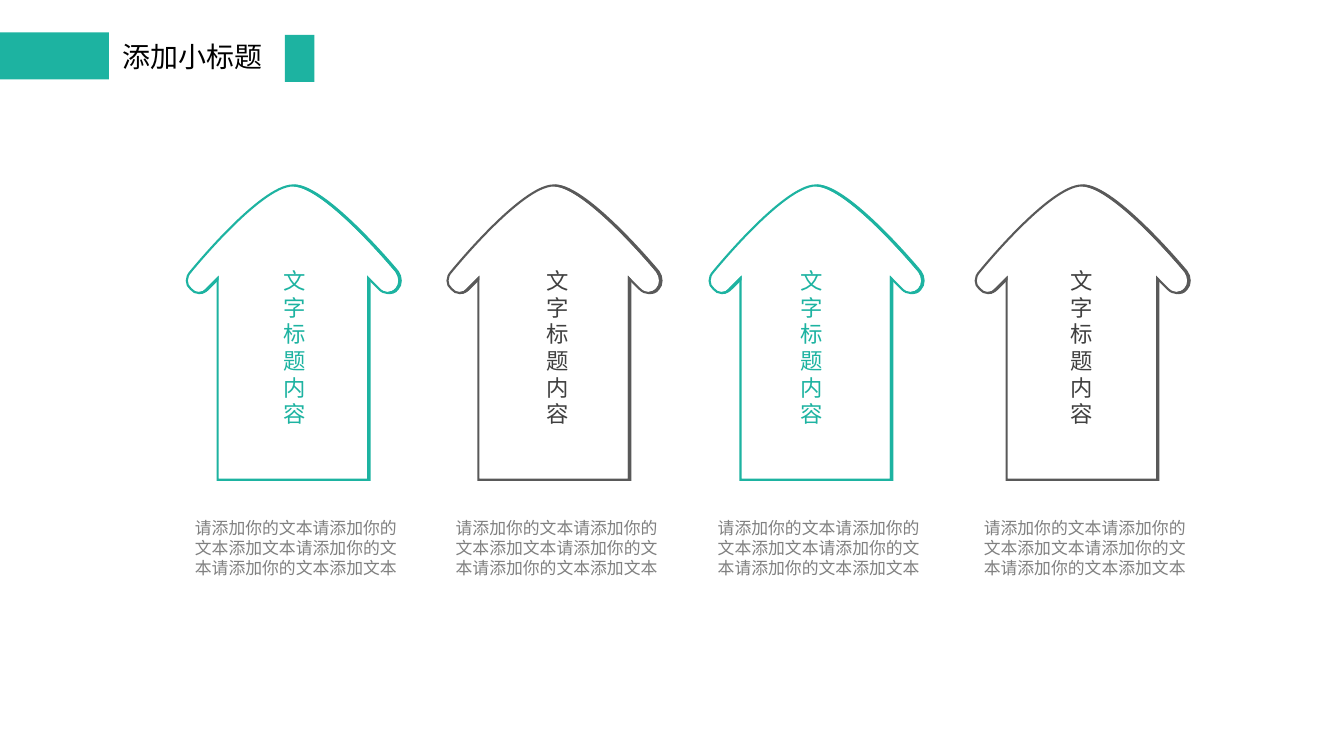
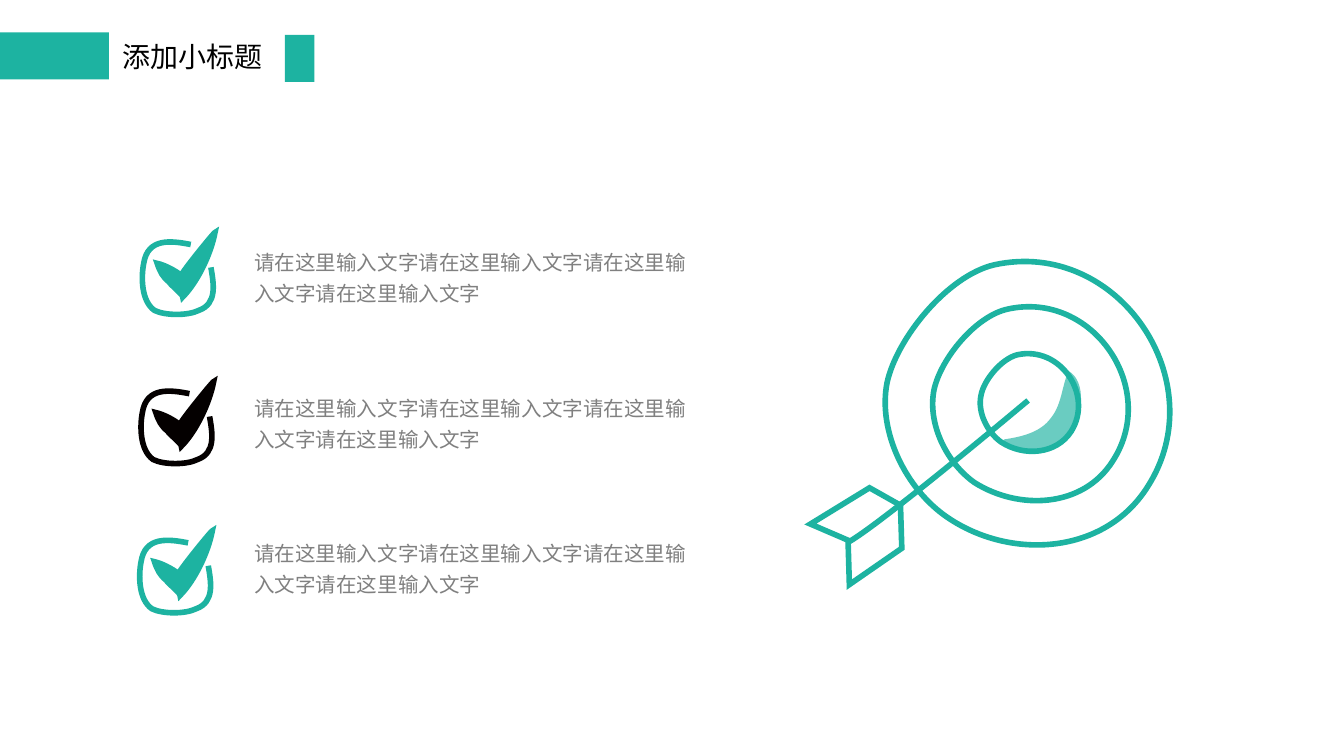
from dataclasses import dataclass
from math import cos, radians, sin
from typing import Optional

from lxml import etree
from pptx import Presentation
from pptx.dml.color import RGBColor
from pptx.enum.shapes import MSO_SHAPE
from pptx.enum.text import MSO_ANCHOR, MSO_AUTO_SIZE, PP_ALIGN
from pptx.oxml.ns import qn
from pptx.util import Emu, Pt

RECTANGLE = MSO_SHAPE.RECTANGLE
TOP = MSO_ANCHOR.TOP
GROW = MSO_AUTO_SIZE.SHAPE_TO_FIT_TEXT
LEFT, CENTER = PP_ALIGN.LEFT, PP_ALIGN.CENTER

# Shared look; one px is a hundredth of an inch
EMU_PER_PX = 9144
SLIDE_WIDTH = 1000
FONT = "Noto Sans CJK SC"
TEAL = RGBColor(0x1D, 0xB3, 0xA1)
DARK_GRAY = RGBColor(0x59, 0x59, 0x59)
LABEL_GRAY = RGBColor(0x40, 0x40, 0x40)
BODY_GRAY = RGBColor(0x80, 0x80, 0x80)
BLACK = RGBColor(0, 0, 0)
TICK_BLACK = RGBColor(0x04, 0, 0)
ARROW_TURN = 270
TARGET_TURN = 7.9
CURVE_STEPS = 24


@dataclass(frozen=True)
class Box:
    left: int
    top: int
    width: int
    height: int


@dataclass(frozen=True)
class TextStyle:
    size: int
    color: RGBColor
    align: PP_ALIGN = LEFT
    leading: float = 1.19
    inset_x: int = 7
    inset_y: int = 4


@dataclass(frozen=True)
class Paint:
    line: Optional[RGBColor] = None
    width: float = 3
    fill: Optional[RGBColor] = None
    opacity: int = 100


@dataclass(frozen=True)
class Contour:
    """A start point and segments: (x, y) is a line, six numbers a Bezier curve."""
    start: tuple
    segments: tuple
    closed: bool = True


@dataclass(frozen=True)
class ArrowColumn:
    offset: int
    label_left: int
    line: RGBColor
    label: RGBColor


@dataclass(frozen=True)
class CheckRow:
    text_top: int
    color: RGBColor


TITLE_STYLE = TextStyle(15, BLACK)
CAPTION_STYLE = TextStyle(9, BODY_GRAY, CENTER)
ITEM_STYLE = TextStyle(11, BODY_GRAY, leading=1.51)

# Slide 1: up arrows
ARROW_COLUMNS = (
    ArrowColumn(0, 209, TEAL, TEAL),
    ArrowColumn(194, 405, DARK_GRAY, LABEL_GRAY),
    ArrowColumn(389, 594, TEAL, TEAL),
    ArrowColumn(587, 795, DARK_GRAY, LABEL_GRAY),
)
LABEL_LINES = ("文字", "标题", "内容")
CAPTION = "请添加你的文本请添加你的文本添加文本请添加你的文本请添加你的文本添加文本"
ARROW_EDGE = (
    Contour((162, 208), (
        (162, 208, 162, 207, 162, 207), (154, 215, 154, 215, 154, 215),
        (154, 216, 153, 216, 152, 217), (152, 217, 152, 217, 152, 217),
        (151, 218, 150, 218, 148, 218), (148, 218, 148, 218, 148, 218),
        (148, 218, 148, 218, 148, 218), (151, 218, 153, 217, 155, 215), (162, 208))),
    Contour((274, 207), (
        (274, 207, 274, 329, 274, 357), (275, 357, 275, 357, 275, 357),
        (275, 208, 275, 208, 275, 208), (274, 207))),
    Contour((219, 138), (
        (243, 139, 295, 202, 295, 202), (298, 206, 298, 212, 295, 215),
        (293, 217, 291, 218, 289, 218), (291, 218, 294, 218, 296, 215),
        (299, 212, 299, 206, 296, 202), (296, 202, 243, 138, 219, 138),
        (219, 138, 219, 138, 219, 138))),
)
ARROW_FACE = (
    Contour((142, 202), (
        (138, 206, 138, 212, 142, 215), (145, 219, 151, 219, 154, 215),
        (162, 207, 162, 207, 162, 207), (162, 207, 162, 329, 162, 357),
        (274, 357, 274, 357, 274, 357), (274, 329, 274, 207, 274, 207),
        (282, 215, 282, 215, 282, 215), (286, 219, 291, 219, 295, 215),
        (298, 212, 298, 206, 295, 202), (295, 202, 242, 138, 218, 138),
        (194, 138, 142, 202, 142, 202))),
)

# Slide 2: check list and target
CHECK_ROWS = (CheckRow(177, TEAL), CheckRow(286, TICK_BLACK), CheckRow(394, TEAL))
CHECK_PITCH = 111
ITEM_TEXT = "请在这里输入文字" * 4
CHECK_FRAME = (
    Contour((142, 182), (
        (127, 179, 110, 177, 107, 196), (105, 206, 105, 224, 115, 231),
        (123, 235, 140, 235, 148, 231), (162, 226, 159, 211, 157, 199)), False),
)
CHECK_TICK = (
    Contour((160, 173), (
        (160, 172, 134, 204, 135, 205), (130, 201, 122, 197, 117, 196),
        (119, 202, 121, 206, 126, 210), (126, 211, 137, 220, 136, 221),
        (147, 210, 157, 189, 160, 173))),
)
TARGET_SHADE = (
    Contour((747, 329), (
        (751, 336, 768, 336, 773, 336), (783, 335, 792, 330, 798, 321),
        (805, 310, 809, 284, 795, 276), (790, 288, 790, 301, 782, 311),
        (774, 322, 760, 325, 747, 327), (747, 327, 747, 328, 747, 329))),
)
RINGS = (
    Contour((705, 385), (
        (752, 417, 822, 413, 854, 362), (904, 284, 832, 177, 740, 197),
        (705, 205, 667, 252, 660, 285), (653, 321, 674, 364, 705, 385))),
    Contour((725, 359), (
        (758, 380, 806, 378, 828, 343), (863, 289, 813, 216, 750, 230),
        (726, 235, 700, 267, 695, 290), (690, 315, 704, 344, 725, 359))),
    Contour((745, 329), (
        (762, 340, 786, 338, 797, 321), (814, 294, 789, 257, 757, 264),
        (745, 267, 732, 283, 730, 294), (727, 307, 735, 322, 745, 329))),
)
FEATHERS_AND_SHAFT = (
    Contour((631, 402), (
        (603, 390), (647, 363), (670, 376), (671, 408), (632, 435),
        (632, 435, 631, 402, 631, 402))),
    Contour((765, 298), ((765, 298, 659, 387, 632, 403),), False),
)


def px(value: float) -> Emu:
    return Emu(round(value * EMU_PER_PX))


def place(box: Box) -> tuple:
    return px(box.left), px(box.top), px(box.width), px(box.height)


def turn(point: tuple, degrees: float) -> tuple:
    x, y = point
    c, s = cos(radians(degrees)), sin(radians(degrees))
    return x * c - y * s, x * s + y * c


def pairs(segment: tuple) -> list:
    return list(zip(segment[::2], segment[1::2]))


def extent(contours: tuple, degrees: float) -> tuple:
    """Bounds of the curves themselves after turning, without their handles."""
    points = []
    for contour in contours:
        points.append(contour.start)
        for segment in contour.segments:
            knots = [points[-1]] + pairs(segment)
            order = len(knots) - 1
            weights = (1, 3, 3, 1) if order == 3 else (1, 1)
            for step in range(1, CURVE_STEPS + 1):
                t = step / CURVE_STEPS
                blend = [w * (1 - t) ** (order - i) * t ** i for i, w in enumerate(weights)]
                points.append(tuple(sum(b * knot[axis] for b, knot in zip(blend, knots))
                                    for axis in (0, 1)))
    xs, ys = zip(*(turn(point, degrees) for point in points))
    return min(xs), min(ys), max(xs), max(ys)


def paint_shape(shape, paint: Paint) -> None:
    shape.shadow.inherit = False
    properties = shape.element.spPr
    if paint.fill is None:
        shape.fill.background()
    else:
        shape.fill.solid()
        shape.fill.fore_color.rgb = paint.fill
        if paint.opacity < 100:
            color = properties.find(qn("a:solidFill"))[0]
            etree.SubElement(color, qn("a:alpha"), val=str(paint.opacity * 1000))
    if paint.line is None:
        shape.line.fill.background()
    else:
        shape.line.color.rgb = paint.line
        shape.line.width = Pt(paint.width)
        etree.SubElement(properties.find(qn("a:ln")), qn("a:miter"), lim="800000")


def bend_segments(outline, contours: tuple) -> None:
    """Join each run of three line points that stands for a curve."""
    lines = iter(list(outline.iter(qn("a:lnTo"))))
    for contour in contours:
        for segment in contour.segments:
            first = next(lines)
            if len(segment) == 6:
                first.tag = qn("a:cubicBezTo")
                for handle in (next(lines), next(lines)):
                    first.append(handle[0])
                    outline.remove(handle)


def add_outline(slide, contours: tuple, paint: Paint, dx: int = 0, dy: int = 0,
                rotation: float = 0):
    left, top, right, bottom = extent(contours, -rotation)
    middle = (left + right) / 2, (top + bottom) / 2
    center_x, center_y = turn(middle, rotation)
    shift_x, shift_y = center_x - middle[0] + dx, center_y - middle[1] + dy

    def position(point: tuple) -> tuple:
        x, y = turn(point, -rotation)
        return px(x + shift_x), px(y + shift_y)

    builder = None
    for contour in contours:
        start = position(contour.start)
        if builder is None:
            builder = slide.shapes.build_freeform(*start, scale=1.0)
        else:
            builder.move_to(*start)
        points = [position(p) for segment in contour.segments for p in pairs(segment)]
        builder.add_line_segments(points, close=contour.closed)
    shape = builder.convert_to_shape()
    outline = next(shape.element.iter(qn("a:path")))
    bend_segments(outline, contours)
    # Fit the frame to the curves
    new_left, new_top = px(left + shift_x), px(top + shift_y)
    for point in outline.iter(qn("a:pt")):
        point.set("x", str(int(point.get("x")) + shape.left - new_left))
        point.set("y", str(int(point.get("y")) + shape.top - new_top))
    shape.left, shape.top = new_left, new_top
    shape.width, shape.height = px(right - left), px(bottom - top)
    outline.set("w", str(shape.width))
    outline.set("h", str(shape.height))
    shape.rotation = rotation
    paint_shape(shape, paint)
    return shape


def add_text(slide, box: Box, lines: tuple, style: TextStyle) -> None:
    frame = slide.shapes.add_textbox(*place(box)).text_frame
    frame.word_wrap = True
    frame.auto_size = GROW
    frame.vertical_anchor = TOP
    frame.margin_left = frame.margin_right = px(style.inset_x)
    frame.margin_top = frame.margin_bottom = px(style.inset_y)
    for index, line in enumerate(lines):
        paragraph = frame.add_paragraph() if index else frame.paragraphs[0]
        paragraph.alignment = style.align
        paragraph.line_spacing = Pt(style.size * style.leading)
        run = paragraph.add_run()
        run.text = line
        run.font.size = Pt(style.size)
        run.font.color.rgb = style.color
        run.font.name = FONT
        etree.SubElement(run.font._element, qn("a:ea"), typeface=FONT)


def add_titled_slide(presentation):
    """Add a blank slide with the title between its two bands."""
    slide = presentation.slides.add_slide(presentation.slide_layouts[6])
    for band in (Box(0, 24, 81, 35), Box(212, 26, 22, 35)):
        paint_shape(slide.shapes.add_shape(RECTANGLE, *place(band)), Paint(fill=TEAL))
    add_text(slide, Box(84, 26, 135, 33), ("添加小标题",), TITLE_STYLE)
    return slide


def build_arrows_slide(presentation) -> None:
    slide = add_titled_slide(presentation)
    for column in ARROW_COLUMNS:
        paint = Paint(line=column.line, width=1.13)
        slide.shapes.add_group_shape([
            add_outline(slide, contours, paint, column.offset, rotation=ARROW_TURN)
            for contours in (ARROW_EDGE, ARROW_FACE)])
        label_style = TextStyle(12, column.label, CENTER, inset_x=0, inset_y=0)
        add_text(slide, Box(column.label_left, 199, 20, 121), LABEL_LINES, label_style)
        add_text(slide, Box(134 + column.offset, 381, 172, 68), (CAPTION,), CAPTION_STYLE)


def build_target_slide(presentation) -> None:
    slide = add_titled_slide(presentation)
    # Check marks drift slightly left from row to row
    for index, row in enumerate(CHECK_ROWS):
        dx, dy = -index, CHECK_PITCH * index
        slide.shapes.add_group_shape([
            add_outline(slide, CHECK_FRAME, Paint(line=row.color), dx, dy),
            add_outline(slide, CHECK_TICK, Paint(line=row.color, fill=row.color), dx, dy)])
        add_text(slide, Box(182, row.text_top, 338, 52), (ITEM_TEXT,), ITEM_STYLE)
    # Target with an arrow in its centre
    shade = add_outline(slide, TARGET_SHADE, Paint(fill=TEAL, opacity=66),
                        rotation=TARGET_TURN)
    rings, arrow = ([add_outline(slide, (contour,), Paint(line=TEAL), rotation=TARGET_TURN)
                     for contour in part] for part in (RINGS, FEATHERS_AND_SHAFT))
    slide.shapes.add_group_shape([shade] + rings)
    slide.shapes.add_group_shape(arrow)


def main() -> None:
    presentation = Presentation()
    presentation.slide_width = px(SLIDE_WIDTH)
    presentation.slide_height = px(SLIDE_WIDTH * 9 / 16)
    build_arrows_slide(presentation)
    build_target_slide(presentation)
    presentation.save("out.pptx")


if __name__ == "__main__":
    main()
